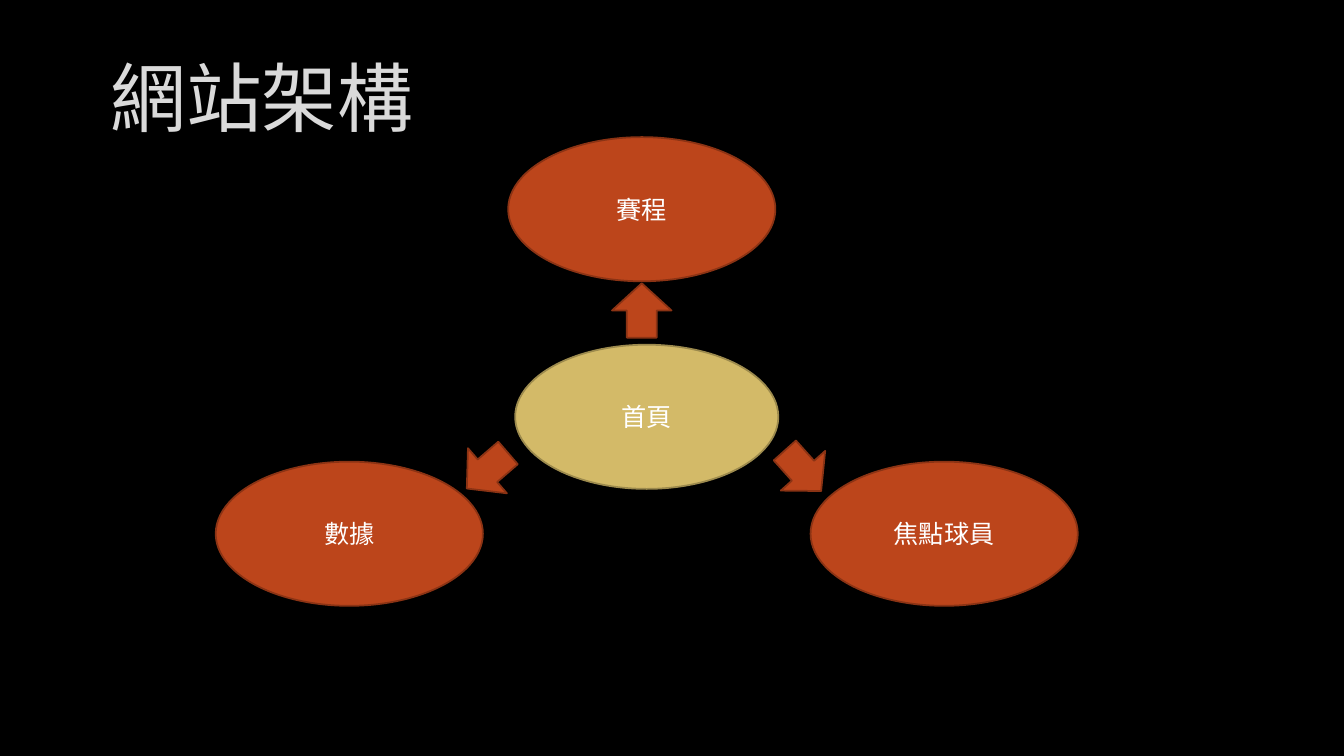
from dataclasses import dataclass

from pptx import Presentation
from pptx.dml.color import RGBColor
from pptx.enum.shapes import MSO_SHAPE
from pptx.enum.text import MSO_ANCHOR, PP_ALIGN
from pptx.util import Inches, Pt

OVAL = MSO_SHAPE.OVAL
ARROW = MSO_SHAPE.DOWN_ARROW
MIDDLE = MSO_ANCHOR.MIDDLE
CENTER = PP_ALIGN.CENTER

WIDTH, HEIGHT = Inches(13.33), Inches(7.5)


@dataclass(frozen=True)
class Theme:
    font: str = "Roboto"
    back: str = "000000"
    title: str = "DADADA"
    label: str = "FFFFFF"
    home: tuple = ("D3BA68", "9C8A4D")  # fill, line
    page: tuple = ("BC451B", "8B3314")
    title_size: float = 54
    label_size: float = 18
    line: float = 1.25


THEME = Theme()

# Sizes and centres are percentages of the slide's width and height
TITLE_SIZE = (31.28, 14.13)
HOME_SIZE = (19.58, 19.07)
PAGE_SIZE = (19.88, 19.07)
ARROW_SIZE = (4.43, 7.2)

# Label, page centre, arrow centre, arrow turn
PAGES = [
    ("數據", (25.99, 70.6), (36.27, 62.27), 49.2),
    ("賽程", (47.75, 27.67), (47.75, 41.07), 180),
    ("焦點球員", (70.25, 70.6), (59.75, 62.27), 318.2),
]


def color(code):
    return RGBColor.from_string(code)


def box(center, size):
    """Turn a centre and a size in percent into left, top, width, height."""
    (x, y), (w, h) = center, size
    return (
        int(WIDTH * (x - w / 2) / 100),
        int(HEIGHT * (y - h / 2) / 100),
        int(WIDTH * w / 100),
        int(HEIGHT * h / 100),
    )


def write(shape, text, size, tint):
    frame = shape.text_frame
    frame.word_wrap = True
    frame.vertical_anchor = MIDDLE
    line = frame.paragraphs[0]
    line.text = text
    line.alignment = CENTER
    line.font.name = THEME.font
    line.font.size = Pt(size)
    line.font.color.rgb = color(tint)


def add_title(slide, text, center):
    shape = slide.shapes.add_textbox(*box(center, TITLE_SIZE))
    write(shape, text, THEME.title_size, THEME.title)


def add_form(slide, kind, center, size, paint):
    shape = slide.shapes.add_shape(kind, *box(center, size))
    fill, edge = paint
    shape.shadow.inherit = False
    shape.fill.solid()
    shape.fill.fore_color.rgb = color(fill)
    shape.line.color.rgb = color(edge)
    shape.line.width = Pt(THEME.line)
    return shape


def add_node(slide, text, center, size, paint):
    shape = add_form(slide, OVAL, center, size, paint)
    write(shape, text, THEME.label_size, THEME.label)


def add_arrow(slide, center, turn):
    shape = add_form(slide, ARROW, center, ARROW_SIZE, THEME.page)
    shape.rotation = turn


def main():
    deck = Presentation()
    deck.slide_width, deck.slide_height = WIDTH, HEIGHT
    slide = deck.slides.add_slide(deck.slide_layouts[6])
    slide.background.fill.solid()
    slide.background.fill.fore_color.rgb = color(THEME.back)

    # Title and home page
    add_title(slide, "網站架構", (19.47, 12.8))
    add_node(slide, "首頁", (48.12, 55.13), HOME_SIZE, THEME.home)

    # Pages reached from home
    for text, spot, tip, turn in PAGES:
        add_node(slide, text, spot, PAGE_SIZE, THEME.page)
        add_arrow(slide, tip, turn)

    deck.save("out.pptx")


if __name__ == "__main__":
    main()
